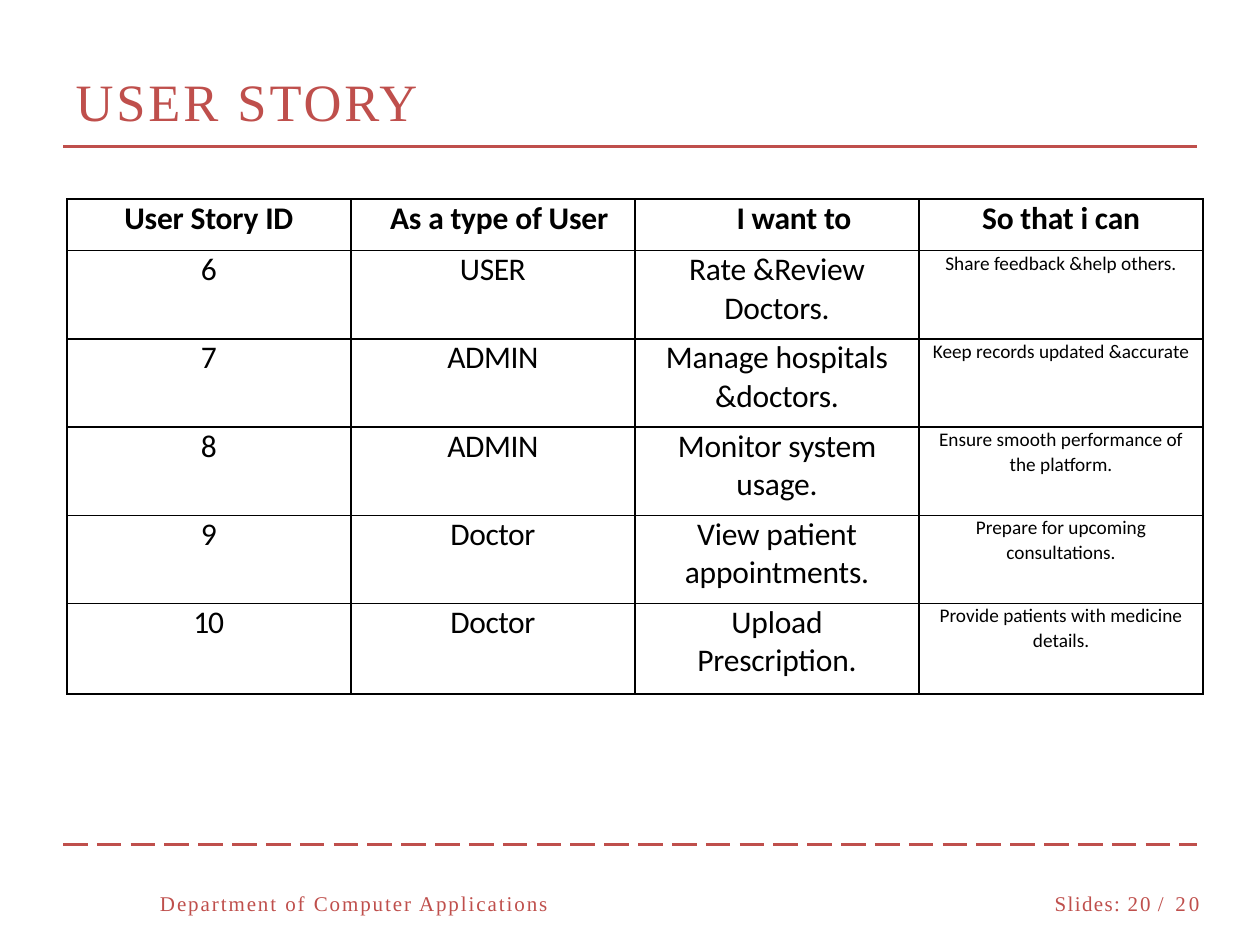
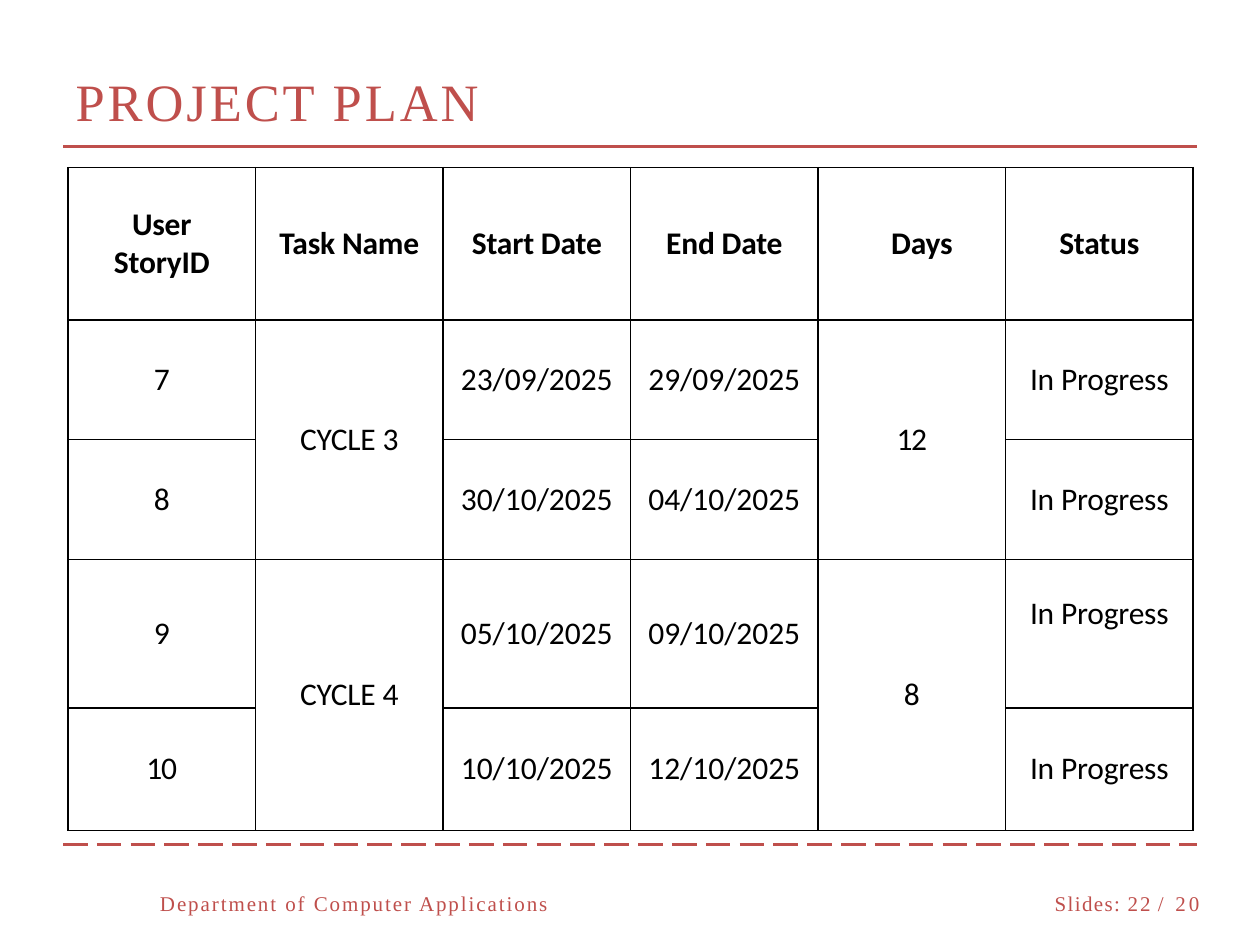
from dataclasses import dataclass
from lxml.etree import SubElement
from pptx import Presentation
from pptx.dml.color import RGBColor as RGB
from pptx.enum.dml import MSO_LINE as Dash
from pptx.enum.shapes import MSO_CONNECTOR as Conn
from pptx.enum.text import MSO_ANCHOR as Anchor, PP_ALIGN as Align
from pptx.oxml.ns import qn
from pptx.util import Emu, Inches, Pt


@dataclass(frozen=True)
class Theme:
    red: RGB = RGB(0xBF, 0x4F, 0x4C)
    ink: RGB = RGB(0, 0, 0)
    serif: str = "Times New Roman"
    sans: str = "Calibri"
    title: int = 30
    body: int = 18
    note: int = 11
    foot: int = 12
    rule: float = 1.75
    edge: float = 1


T = Theme()


def write(para, text, face, size, color, gap=0, bold=False):
    run = para.add_run()
    run.text = text
    run.font._element.set("spc", str(round(gap * 100)))
    font = para.font
    font.name, font.size, font.bold = face, Pt(size), bold
    font.color.rgb = color


def label(slide, box, text, size, gap):
    frame = slide.shapes.add_textbox(*map(Inches, box)).text_frame
    frame.margin_left = frame.margin_right = 0
    frame.margin_top = frame.margin_bottom = 0
    frame.word_wrap = True
    write(frame.paragraphs[0], text, T.serif, size, T.red, gap)


def rule(slide, left, top, width, dash=None):
    line = slide.shapes.add_connector(
        Conn.STRAIGHT, Inches(left), Inches(top), Inches(left + width), Inches(top))
    line.line.color.rgb = T.red
    line.line.width = Pt(T.rule)
    if dash:
        line.line.dash_style = dash
    SubElement(line._element.spPr, qn("a:effectLst"))


def header(slide, box, title):
    left, top, width, height = box
    label(slide, (left + 0.1, top, width - 0.2, height - 0.15), title, T.title, 1.7)
    rule(slide, left, top + height, width)


def footer(slide, box, page):
    left, top, width, height = box
    rule(slide, left, top, width, Dash.LONG_DASH)
    parts = [
        (0.77, 3.5, "Department of Computer Applications", 1.1),
        (7.87, 0.58, "Slides:", 0.8),
        (8.45, 0.24, page, 1.2),
        (8.69, 0.4, "/ 20", 1.8),
    ]
    for x, wide, text, gap in parts:
        label(slide, (left + x, top + 0.37, wide, height - 0.37), text, T.foot, gap)


def border(cell):
    props = cell._tc.get_or_add_tcPr()
    for side in ("lnL", "lnR", "lnT", "lnB"):
        line = SubElement(props, qn(f"a:{side}"), w=str(Pt(T.edge)))
        paint = SubElement(line, qn("a:solidFill"))
        SubElement(paint, qn("a:srgbClr"), val=str(T.ink))
    cell.fill.background()


def grid(slide, box, cols, rows, anchor):
    left, top, width, height = map(Inches, box)
    table = slide.shapes.add_table(len(rows), cols, left, top, width, height).table
    table.first_row = table.horz_banding = False
    for col in table.columns:
        col.width = Emu(width // cols)
    for row, tall in zip(table.rows, rows):
        row.height = Inches(tall)
    for cell in table.iter_cells():
        cell.margin_left = cell.margin_right = 0
        cell.margin_top = cell.margin_bottom = 0
        cell.vertical_anchor = anchor
        border(cell)
    return table


def fill(table, data, styles):
    for r, row in enumerate(data):
        for c, (text, (size, gap)) in enumerate(zip(row, styles)):
            if r == 0:
                size, gap = T.body, -0.1
            frame = table.cell(r, c).text_frame
            for i, line in enumerate(text.split("\n") if text else []):
                para = frame.add_paragraph() if i else frame.paragraphs[0]
                para.alignment = Align.CENTER
                para.line_spacing = 1.04 if size == T.note else 1.0
                write(para, line, T.sans, size, T.ink, gap, r == 0)


def story(slide, box):
    data = [
        ("User Story ID", "As a type of User", "I want to", "So that i can"),
        ("6", "USER", "Rate &Review\nDoctors.", "Share feedback &help others."),
        ("7", "ADMIN", "Manage hospitals\n&doctors.",
         "Keep records updated &accurate"),
        ("8", "ADMIN", "Monitor system\nusage.",
         "Ensure smooth performance of\nthe platform."),
        ("9", "Doctor", "View patient\nappointments.",
         "Prepare for upcoming\nconsultations."),
        ("10", "Doctor", "Upload\nPrescription.",
         "Provide patients with medicine\ndetails."),
    ]
    styles = [(T.body, -0.7), (T.body, -0.25), (T.body, -0.1), (T.note, 0)]
    table = grid(slide, box, 4, [0.41] + [0.7] * 4 + [0.72], Anchor.TOP)
    fill(table, data, styles)
    table.cell(0, 1).margin_left = Inches(0.1)
    table.cell(0, 2).margin_left = Inches(0.27)


def plan(slide, box):
    data = [
        ("User\nStoryID", "Task Name", "Start Date", "End Date", "Days", "Status"),
        ("7", "CYCLE 3", "23/09/2025", "29/09/2025", "12", "In Progress"),
        ("8", None, "30/10/2025", "04/10/2025", None, "In Progress"),
        ("9", "CYCLE 4", "05/10/2025", "09/10/2025", "8", "In Progress"),
        ("10", None, "10/10/2025", "12/10/2025", None, "In Progress"),
    ]
    styles = [(T.body, gap) for gap in (-0.7, -0.1, 0, 0, -0.7, -0.1)]
    table = grid(slide, box, 6, [1.21, 0.95, 0.95, 1.18, 0.97], Anchor.MIDDLE)
    for row in (1, 3):
        for col in (1, 4):
            table.cell(row, col).merge(table.cell(row + 1, col))
    fill(table, data, styles)
    table.cell(0, 4).margin_left = Inches(0.16)
    table.cell(3, 5).margin_bottom = Inches(0.32)


def main():
    deck = Presentation()
    deck.slide_width, deck.slide_height = Inches(10), Inches(7.5)
    pages = [
        ("USER STORY", "20", story, (0.53, 1.58, 9.02, 3.93)),
        ("PROJECT PLAN", "22", plan, (0.54, 1.33, 8.93, 5.26)),
    ]
    for title, page, body, box in pages:
        slide = deck.slides.add_slide(deck.slide_layouts[6])
        header(slide, (0.5, 0.55, 9, 0.61), title)
        footer(slide, (0.5, 6.7, 9, 0.57), page)
        body(slide, box)
    deck.save("out.pptx")


if __name__ == "__main__":
    main()
